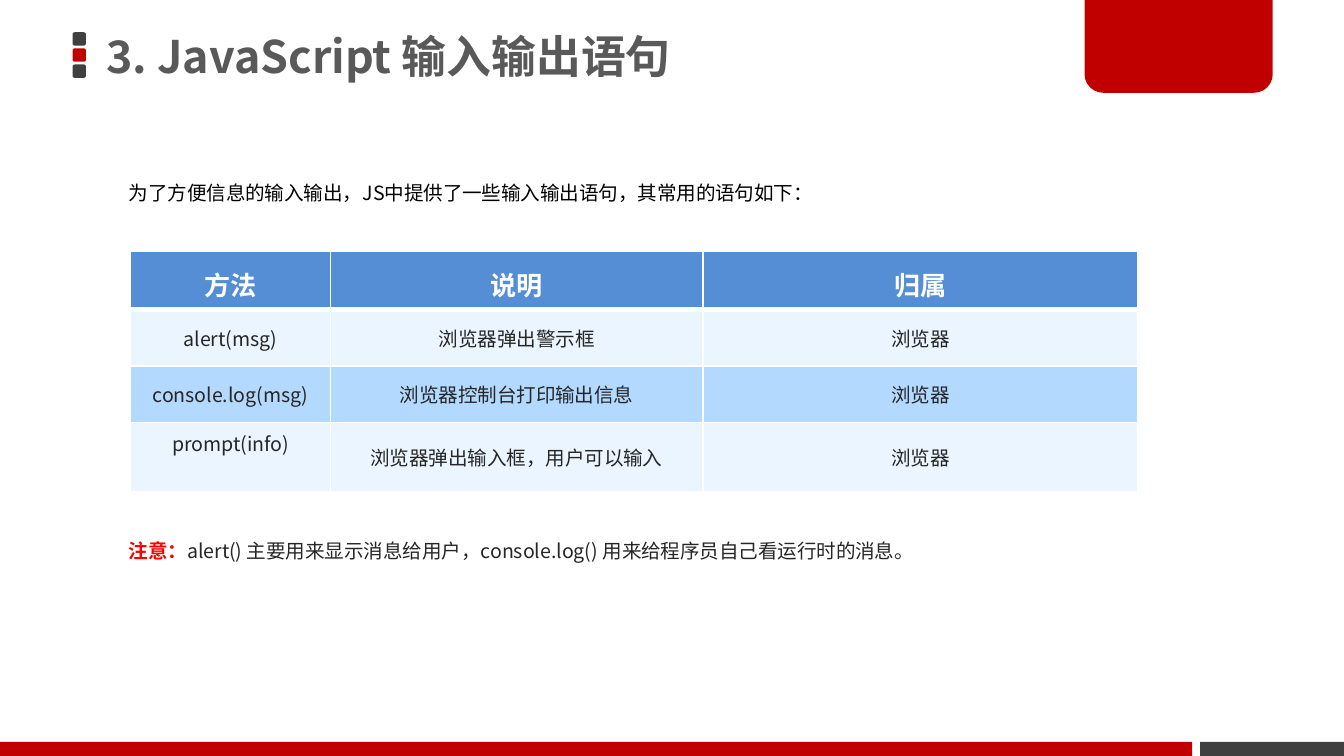
from lxml.etree import SubElement
from pptx import Presentation
from pptx.dml.color import RGBColor
from pptx.enum.shapes import MSO_SHAPE as SHAPE
from pptx.enum.text import MSO_ANCHOR as ANCHOR, PP_ALIGN as ALIGN
from pptx.oxml.ns import qn
from pptx.util import Inches, Pt

# Grid: 100 columns by 56.25 rows, each a tenth of an inch
COLS, ROWS = 100, 56.25
UNIT = Inches(0.1)
FONT = "Noto Sans CJK SC"

WHITE = RGBColor(0xFF, 0xFF, 0xFF)
BLACK = RGBColor(0, 0, 0)
RED = RGBColor(0xC0, 0, 0)
ALERT_RED = RGBColor(0xFF, 0, 0)
DARK = RGBColor(0x40, 0x40, 0x40)
TITLE_GRAY = RGBColor(0x59, 0x59, 0x59)
INK = RGBColor(0x26, 0x26, 0x26)
HEAD_BLUE = RGBColor(0x55, 0x8E, 0xD5)
BANDS = [RGBColor(0xEB, 0xF5, 0xFF), RGBColor(0xB3, 0xD9, 0xFF)]

METHODS = [
    ("方法", "说明", "归属"),
    ("alert(msg)", "浏览器弹出警示框", "浏览器"),
    ("console.log(msg)", "浏览器控制台打印输出信息", "浏览器"),
    ("prompt(info)", "浏览器弹出输入框，用户可以输入", "浏览器"),
]


def grid(*cells):
    return [round(c * UNIT) for c in cells]


def style(r, size, color, bold=False):
    r.font.size, r.font.bold, r.font.name = Pt(size), bold, FONT
    r.font.color.rgb = color
    SubElement(r.font._element, qn("a:ea"), typeface=FONT)


def add_block(s, kind, box, color):
    sp = s.shapes.add_shape(kind, *grid(*box))
    sp.shadow.inherit = False
    sp.fill.solid()
    sp.fill.fore_color.rgb = color
    sp.line.fill.background()
    return sp


def add_markers(s, box):
    x, y, size, step = box
    for i, color in enumerate((DARK, RED, DARK)):
        add_block(s, SHAPE.ROUNDED_RECTANGLE, (x, y + i * step, size, size), color)


def add_tab(s, box):
    tab = add_block(s, SHAPE.ROUND_2_SAME_RECTANGLE, box, RED)
    tab.adjustments[0], tab.adjustments[1] = 0, 0.2


def add_footer(s, box, split, gap):
    x, y, w, h = box
    add_block(s, SHAPE.RECTANGLE, (x, y, split, h), RED)
    rest = split + gap
    add_block(s, SHAPE.RECTANGLE, (x + rest, y, w - rest, h), DARK)


def add_title(s, box, text):
    sp = s.shapes.title
    sp.left, sp.top, sp.width, sp.height = grid(*box)
    tf = sp.text_frame
    tf.text = text
    tf.vertical_anchor = ANCHOR.MIDDLE
    p = tf.paragraphs[0]
    p.alignment, p.line_spacing = ALIGN.LEFT, 0.9
    style(p.runs[0], 24, TITLE_GRAY, True)


def add_text(s, box, parts, spacing=1.0):
    tf = s.shapes.add_textbox(*grid(*box)).text_frame
    tf.word_wrap = True
    p = tf.paragraphs[0]
    p.line_spacing = spacing
    for text, color, bold in parts:
        r = p.add_run()
        r.text = text
        style(r, 10.5, color, bold)


def add_border(cell, side, width):
    ln = SubElement(cell._tc.get_or_add_tcPr(), qn(f"a:ln{side}"), w=str(Pt(width)))
    fill = SubElement(ln, qn("a:solidFill"))
    SubElement(fill, qn("a:srgbClr"), val=str(WHITE))


def fill_cell(cell, text, row):
    cell.text = text
    p = cell.text_frame.paragraphs[0]
    p.alignment = ALIGN.CENTER
    header = row == 0
    if header:
        p.line_spacing = Pt(24)
        style(p.runs[0], 14, WHITE, True)
    else:
        cell.vertical_anchor = ANCHOR.MIDDLE
        style(p.runs[0], 10.5, INK)
    # White rules, thick under the header
    widths = {"L": 1, "R": 1, "T": 3 if row == 1 else 1, "B": 3 if header else 1}
    for side, width in widths.items():
        add_border(cell, side, width)
    cell.fill.solid()
    cell.fill.fore_color.rgb = HEAD_BLUE if header else BANDS[(row - 1) % 2]


def add_methods_table(s, box, widths, heights):
    table = s.shapes.add_table(len(heights), len(widths), *grid(*box)).table
    for column, width in zip(table.columns, grid(*widths)):
        column.width = width
    for row, height in zip(table.rows, grid(*heights)):
        row.height = height
    for i, texts in enumerate(METHODS):
        for j, text in enumerate(texts):
            fill_cell(table.cell(i, j), text, i)
    # The last method name sits above the middle of its taller row
    table.cell(len(METHODS) - 1, 0).margin_bottom = Inches(0.26)


def main():
    prs = Presentation()
    prs.slide_width, prs.slide_height = grid(COLS, ROWS)
    s = prs.slides.add_slide(prs.slide_layouts[5])

    # Frame
    add_markers(s, (5.4, 2.4, 1, 1.2))
    add_tab(s, (80.7, 0, 14, 6.9))
    add_footer(s, (0, ROWS - 1.05, COLS, 1.05), 88.7, 0.6)

    # Content
    add_title(s, (6.9, 0, 73.7, 8.7), "3. JavaScript 输入输出语句")
    add_text(s, (8.6, 13, 71.9, 2.8), [
        ("为了方便信息的输入输出，JS中提供了一些输入输出语句，其常用的语句如下：", BLACK, False)])
    add_methods_table(s, (9.7, 18.7, 75, 17.9),
                      (14.9, 27.7, 32.4), (4.2, 4.2, 4.2, 5.2))
    add_text(s, (8.6, 38.7, 75.5, 4.3), [
        ("注意：", ALERT_RED, True),
        ("alert() 主要用来显示消息给用户，console.log() 用来给程序员自己看运行时的消息。", INK, False),
    ], 1.5)

    prs.save("out.pptx")


if __name__ == "__main__":
    main()
